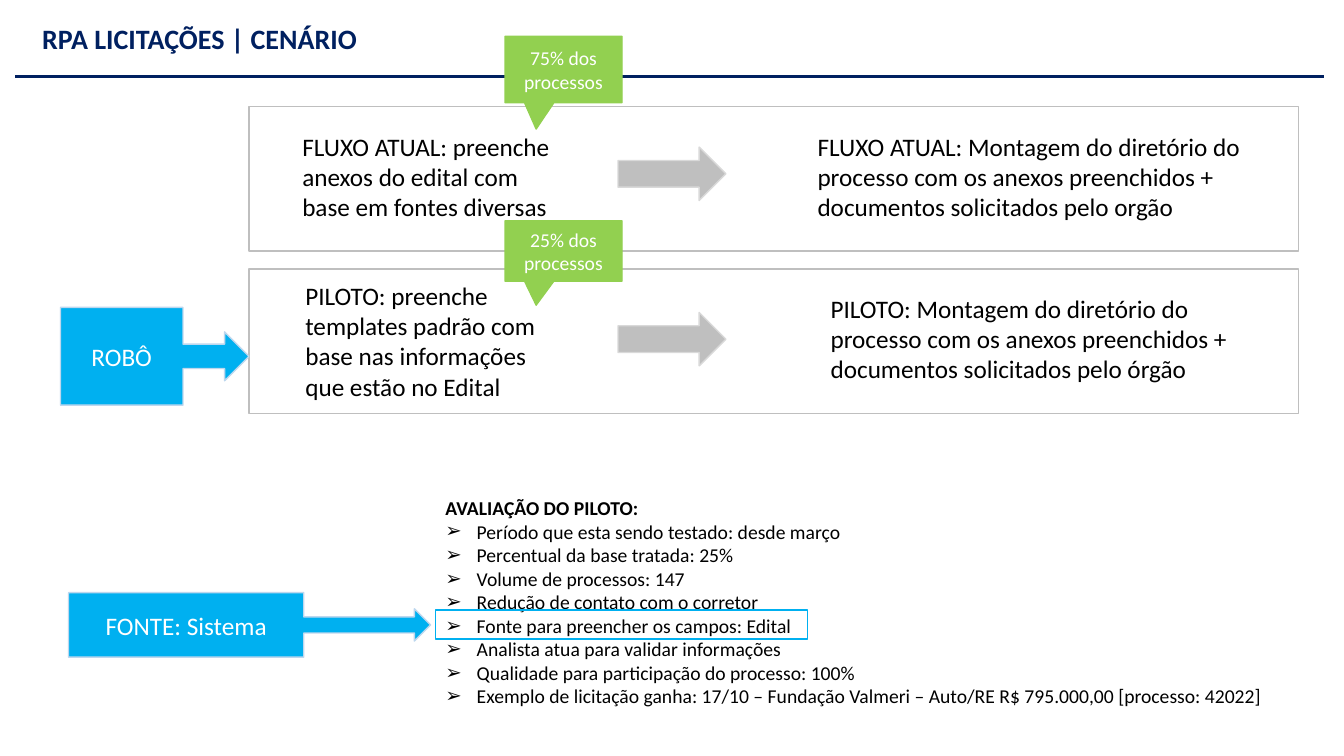
"""Build the slide on the bidding robot scenario."""
from dataclasses import dataclass

from lxml.etree import SubElement
from pptx import Presentation
from pptx.dml.color import RGBColor
from pptx.enum.shapes import MSO_CONNECTOR, MSO_SHAPE
from pptx.enum.text import MSO_ANCHOR, PP_ALIGN
from pptx.oxml.ns import qn
from pptx.util import Emu, Pt

SCALE = 9144
HUES = {
    "navy": "002060", "blue": "00B0F0", "pale": "BDD7EE", "grey": "BFBFBF",
    "light": "D9D9D9", "green": "92D050", "black": "000000", "white": "FFFFFF",
}
FRAME = {"word_wrap": True, "vertical_anchor": MSO_ANCHOR.TOP}
CENTRE = {"word_wrap": True, "vertical_anchor": MSO_ANCHOR.MIDDLE}
INDENT = 31
WEDGE = (-0.234, 0.896)


@dataclass(frozen=True)
class Label:
    """Plain text in a box."""
    box: tuple[int, int, int, int]
    text: str
    size: int = 18
    hue: str = "black"
    bold: bool = False
    points: tuple[str, ...] = ()


@dataclass(frozen=True)
class Block:
    """Preset shape with an optional caption."""
    kind: MSO_SHAPE
    box: tuple[int, int, int, int]
    line: str
    fill: str = ""
    text: str = ""
    size: int = 18
    adjust: tuple[float, ...] = ()


@dataclass(frozen=True)
class Rule:
    """Straight line between two points."""
    ends: tuple[int, int, int, int]
    hue: str
    width: float


POINTS = (
    "Período que esta sendo testado: desde março",
    "Percentual da base tratada: 25%",
    "Volume de processos: 147",
    "Redução de contato com o corretor",
    "Fonte para preencher os campos: Edital",
    "Analista atua para validar informações",
    "Qualidade para participação do processo: 100%",
    "Exemplo de licitação ganha: 17/10 – Fundação Valmeri – Auto/RE R$ 795.000,00 [processo: 42022]",
)
LANES = [Block(MSO_SHAPE.RECTANGLE, (247, top, 1041, 143), "grey") for top in (106, 267)]
ARROWS = [Block(MSO_SHAPE.RIGHT_ARROW, (613, top, 107, 53), "light", "grey") for top in (146, 310)]
SHARES = [
    Block(MSO_SHAPE.RECTANGULAR_CALLOUT, (501, top, 116, height), "green", "green",
          f"{share}% dos processos", 14, WEDGE)
    for top, height, share in ((36, 66, 75), (219, 60, 25))
]
PARTS = [
    *LANES,
    Label((290, 125, 284, 101),
          "FLUXO ATUAL: preenche anexos do edital com base em fontes diversas"),
    Label((801, 125, 449, 101),
          "FLUXO ATUAL: Montagem do diretório do processo com os anexos preenchidos "
          "+ documentos solicitados pelo orgão"),
    Label((293, 273, 281, 131),
          "PILOTO: preenche templates padrão com base nas informações que estão no Edital"),
    Label((814, 286, 436, 101),
          "PILOTO: Montagem do diretório do processo com os anexos preenchidos "
          "+ documentos solicitados pelo órgão"),
    Block(MSO_SHAPE.RIGHT_ARROW_CALLOUT, (60, 305, 187, 97), "pale", "blue", "ROBÔ"),
    Label((32, 16, 882, 44), "RPA LICITAÇÕES | CENÁRIO", 20, "navy", True),
    Rule((15, 76, 1313, 76), "navy", 2.25),
    Label((432, 487, 856, 269), "AVALIAÇÃO DO PILOTO:", 14, bold=True, points=POINTS),
    *ARROWS,
    Block(MSO_SHAPE.RIGHT_ARROW_CALLOUT, (68, 588, 359, 64), "pale", "blue", "FONTE: Sistema"),
    Block(MSO_SHAPE.RECTANGLE, (432, 605, 369, 29), "blue"),
    *SHARES,
]


def px(size: int) -> Emu:
    """Turn px into EMU."""
    return Emu(size * SCALE)


def tint(name: str) -> RGBColor:
    """Look up a colour."""
    return RGBColor.from_string(HUES[name])


def apply(item, values: dict) -> None:
    """Set each named value on the item."""
    for name, value in values.items():
        setattr(item, name, value)


def write(para, text: str, size: int, hue: str, bold: bool = False) -> None:
    """Put one styled run in a paragraph."""
    run = para.add_run()
    run.text = text
    apply(run.font, {"name": "Calibri", "size": Pt(size), "bold": bold})
    run.font.color.rgb = tint(hue)


def mark(para) -> None:
    """Give a paragraph an arrow bullet."""
    props = para._p.get_or_add_pPr()
    props.set("marL", str(px(INDENT)))
    props.set("indent", str(-px(INDENT)))
    SubElement(props, qn("a:buFont"), typeface="Arial")
    SubElement(props, qn("a:buChar"), char="➢")


def stroke(line, hue: str, width: float) -> None:
    """Colour a line and set its width."""
    line.color.rgb = tint(hue)
    line.width = Pt(width)


def draw_label(shapes, label: Label) -> None:
    """Draw a text box with its bullet points."""
    frame = shapes.add_textbox(*map(px, label.box)).text_frame
    apply(frame, FRAME)
    write(frame.paragraphs[0], label.text, label.size, label.hue, label.bold)
    for point in label.points:
        para = frame.add_paragraph()
        mark(para)
        write(para, point, label.size, label.hue)


def draw_block(shapes, block: Block) -> None:
    """Draw a preset shape."""
    shape = shapes.add_shape(block.kind, *map(px, block.box))
    shape.shadow.inherit = False
    for index, value in enumerate(block.adjust):
        shape.adjustments[index] = value
    if block.fill:
        shape.fill.solid()
        shape.fill.fore_color.rgb = tint(block.fill)
    else:
        shape.fill.background()
    stroke(shape.line, block.line, 1)
    if block.text:
        frame = shape.text_frame
        apply(frame, CENTRE)
        para = frame.paragraphs[0]
        para.alignment = PP_ALIGN.CENTER
        write(para, block.text, block.size, "white")


def draw_rule(shapes, rule: Rule) -> None:
    """Draw a straight line."""
    line = shapes.add_connector(MSO_CONNECTOR.STRAIGHT, *map(px, rule.ends))
    stroke(line.line, rule.hue, rule.width)
    SubElement(line._element.spPr, qn("a:effectLst"))


def main() -> None:
    """Draw all parts and save the deck."""
    deck = Presentation()
    apply(deck, {"slide_width": px(1333), "slide_height": px(750)})
    shapes = deck.slides.add_slide(deck.slide_layouts[6]).shapes
    draw = {Label: draw_label, Block: draw_block, Rule: draw_rule}
    for part in PARTS:
        draw[type(part)](shapes, part)
    deck.save("out.pptx")


if __name__ == "__main__":
    main()
